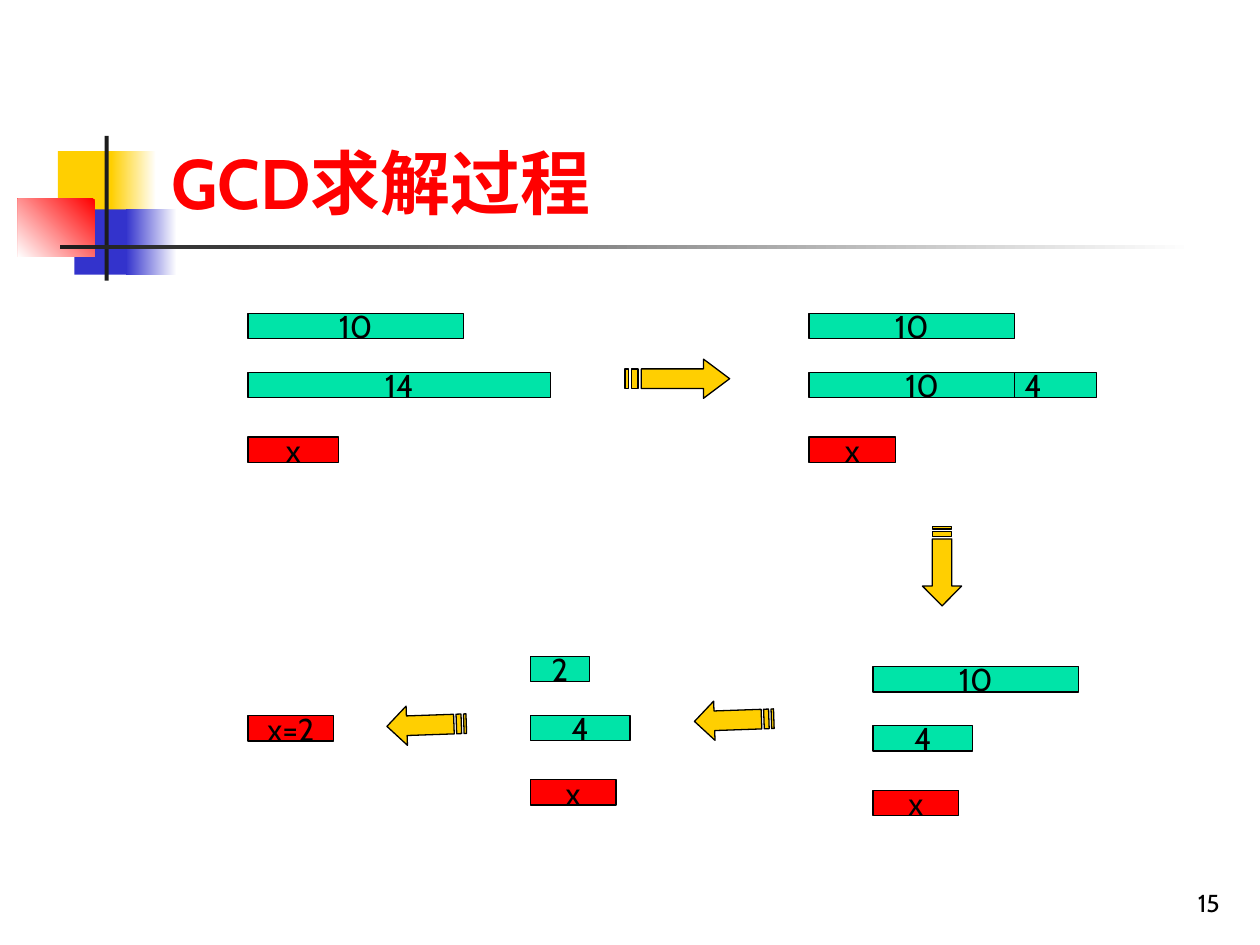
"""Build a slide that walks through a GCD computation with bars and arrows."""
from dataclasses import dataclass

from lxml import etree
from pptx import Presentation
from pptx import util as u
from pptx.dml.color import RGBColor
from pptx.enum import shapes as sh, text as tx
from pptx.oxml import ns


@dataclass(frozen=True)
class Theme:
    font: str = "Cabin"
    red: str = "FF0000"
    green: str = "00E4A8"
    gold: str = "FFCF01"
    blue: str = "3333CC"
    dark: str = "1C1C1C"
    white: str = "FFFFFF"
    ink: str = "000000"
    title: int = 40
    label: int = 18
    small: int = 14
    line: float = 0.75


T = Theme()
THICK = 0.51
ROWS = (0, 1.19, 2.49)


def rgb(code):
    return RGBColor.from_string(code)


def cms(*nums):
    return [u.Cm(n) for n in nums]


def paint(shape, fill, edge=None):
    shape.shadow.inherit = False
    shape.fill.solid()
    shape.fill.fore_color.rgb = rgb(fill)
    if edge:
        shape.line.color.rgb = rgb(edge)
        shape.line.width = u.Pt(T.line)
    else:
        shape.line.fill.background()


def write(shape, words, size, align, anchor, color=T.ink, bold=False, wrap=True):
    frame = shape.text_frame
    frame.word_wrap = wrap
    frame.vertical_anchor = anchor
    para = frame.paragraphs[0]
    para.text = words
    para.alignment = align
    font = para.font
    font.name, font.size, font.bold = T.font, u.Pt(size), bold
    font.color.rgb = rgb(color)
    return para


def block(slide, box, fill, fade=None, angle=0):
    """Add a borderless rectangle, fading from fill to fade if given."""
    shape = slide.shapes.add_shape(sh.MSO_SHAPE.RECTANGLE, *cms(*box))
    paint(shape, fill)
    if fade:
        shape.fill.gradient()
        shape.fill.gradient_angle = angle
        for stop, code in zip(shape.fill.gradient_stops, (fill, fade)):
            stop.color.rgb = rgb(code)


def bar(pool, left, top, wide, words, fill):
    shape = pool.add_shape(sh.MSO_SHAPE.RECTANGLE, *cms(left, top, wide, THICK))
    paint(shape, fill, T.ink)
    para = write(shape, words, T.label, tx.PP_ALIGN.CENTER,
                 tx.MSO_ANCHOR.MIDDLE, wrap=False)
    return shape, para


def stack(slide, left, top, bars):
    """Add a group of bars, the last one red."""
    pool = slide.shapes.add_group_shape().shapes
    fills = (T.green, T.green, T.red)
    made = [bar(pool, left, top + drop, wide, words, fill)
            for drop, (wide, words), fill in zip(ROWS, bars, fills)]
    return pool, made


def split(pool, item, left, top, stops):
    """Divide a bar at left and centre its words on tab stops."""
    shape, para = item
    shape.text_frame.word_wrap = True
    para.alignment = tx.PP_ALIGN.LEFT
    tabs = etree.Element(ns.qn("a:tabLst"))
    for stop in stops:
        etree.SubElement(tabs, ns.qn("a:tab"), pos=str(u.Cm(stop)), algn="ctr")
    props = para._p.get_or_add_pPr()
    props.insert(0, tabs)
    line = pool.add_connector(sh.MSO_CONNECTOR.STRAIGHT,
                              *cms(left, top, left, top + THICK))
    line.line.color.rgb = rgb(T.ink)
    line.line.width = u.Pt(T.line)
    etree.SubElement(line._element.spPr, ns.qn("a:effectLst"))


def arrow(slide, left, top, wide, turn=0):
    """Add a striped arrow whose parts scale with its width."""
    high = 0.79
    head = [(5 / 32, .25), (.75, .25), (.75, 0), (1, .5),
            (.75, 1), (.75, .75), (5 / 32, .75)]
    bands = [[(a, .25), (b, .25), (b, .75), (a, .75)]
             for a, b in ((0, 1 / 32), (1 / 16, 1 / 8))]
    pen = None
    for part in (head, *bands):
        first, *rest = [cms(left + x * wide, top + y * high) for x, y in part]
        if pen is None:
            pen = slide.shapes.build_freeform(*first)
        else:
            pen.move_to(*first)
        pen.add_line_segments(rest, close=True)
    shape = pen.convert_to_shape()
    paint(shape, T.gold, T.ink)
    shape.rotation = turn


def note(slide, box, words, size, align, **style):
    shape = slide.shapes.add_textbox(*cms(*box))
    write(shape, words, size, align, tx.MSO_ANCHOR.BOTTOM, **style)


def decor(slide):
    block(slide, (1.17, 3.05, 1.22, 1.32), T.gold)
    block(slide, (2.24, 3.05, 0.91, 1.32), T.white, T.gold, 180)
    block(slide, (1.5, 4.22, 1.17, 1.32), T.blue)
    block(slide, (2.54, 4.22, 1.02, 1.32), T.white, T.blue, 180)
    block(slide, (0.36, 4.01, 1.55, 1.17), T.red, T.white, 225)
    block(slide, (2.11, 2.74, 0.08, 2.92), T.dark)
    block(slide, (1.22, 4.94, 22.86, 0.09), T.white, T.dark, 180)


def main():
    deck = Presentation()
    deck.slide_width, deck.slide_height = cms(25.4, 19.05)
    slide = deck.slides.add_slide(deck.slide_layouts[6])
    decor(slide)
    note(slide, (3.2, 0.58, 21.64, 4.06), "GCD求解过程", T.title,
         tx.PP_ALIGN.LEFT, color=T.red, bold=True)

    stack(slide, 5, 6.32, [(4.34, "10"), (6.1, "14"), (1.83, "x")])
    pool, made = stack(slide, 16.31, 6.32,
                       [(4.14, "10"), (5.79, "\t10\t4"), (1.75, "x")])
    split(pool, made[1], 20.45, 6.32 + ROWS[1], (2.03, 4.27))
    stack(slide, 17.6, 13.44, [(4.14, "10"), (2.01, "4"), (1.73, "x")])
    stack(slide, 10.69, 13.23, [(1.19, "2"), (2.01, "4"), (1.73, "x")])
    bar(slide.shapes, 5, 14.43, 1.73, "x=2", T.red)

    arrow(slide, 12.6, 7.24, 2.11)
    arrow(slide, 18.19, 11.02, 1.6, 90)
    arrow(slide, 14, 14.12, 1.6, 178)
    arrow(slide, 7.8, 14.22, 1.6, 178)
    note(slide, (19.56, 17.35, 5.28, 1.27), "15", T.small, tx.PP_ALIGN.RIGHT)
    deck.save("out.pptx")


if __name__ == "__main__":
    main()
